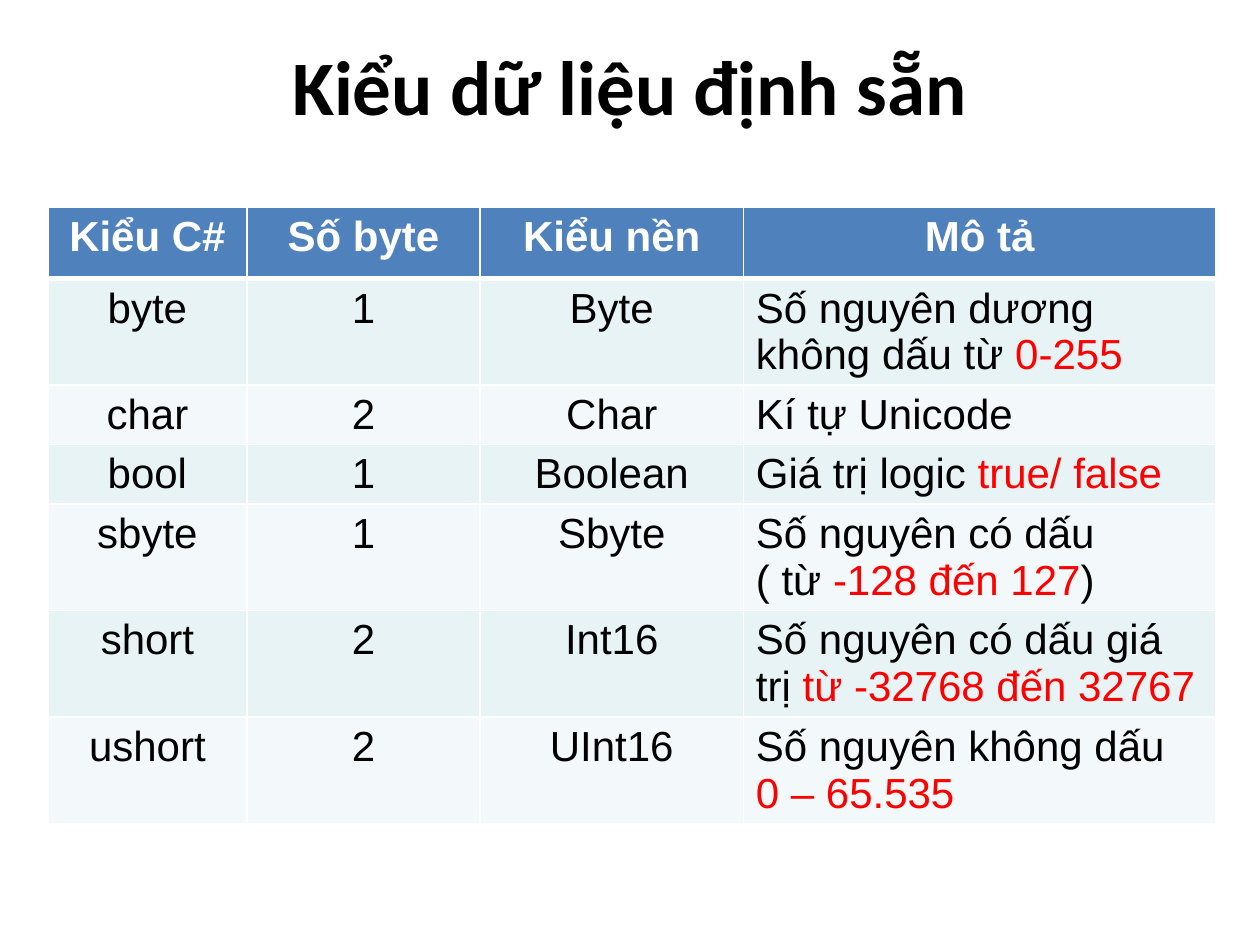
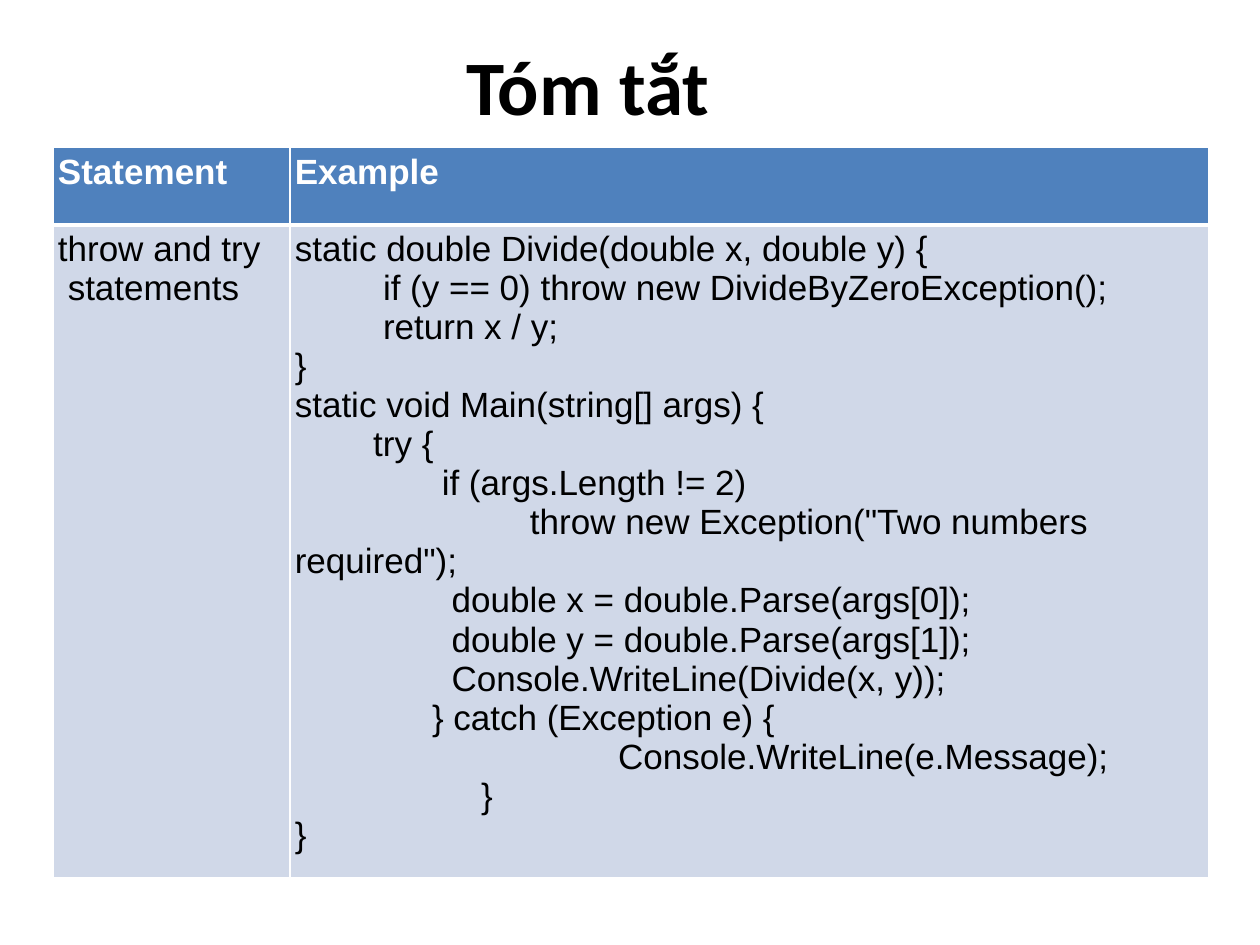
from lxml import etree
from pptx import Presentation
from pptx.dml.color import RGBColor
from pptx.enum.text import MSO_ANCHOR, PP_ALIGN
from pptx.oxml.ns import qn
from pptx.util import Inches, Pt

CENTER, LEFT = PP_ALIGN.CENTER, PP_ALIGN.LEFT
MIDDLE = MSO_ANCHOR.MIDDLE

COLORS = {
    "text": "000000",
    "header_text": "FFFFFF",
    "accent": "FF0000",
    "header": "4F81BD",
    "border": "FFFFFF",
    "band_dark": "E7F3F4",
    "band_light": "F3F9FA",
    "code": "D0D8E8",
}
TITLE_FONT, BODY_FONT = "Calibri", "Arial"
SLIDE_W, SLIDE_H = Inches(10), Inches(7.5)
TITLE_ONLY = 5
SPACE_WIDTH = 0.28  # width of one blank, as a share of the text size

# Asterisks enclose the highlighted part of a description
DATA_TYPES = [
    ("byte", "1", "Byte", ["Số nguyên dương không dấu từ *0-255*"]),
    ("char", "2", "Char", ["Kí tự Unicode"]),
    ("bool", "1", "Boolean", ["Giá trị logic *true/ false*"]),
    ("sbyte", "1", "Sbyte", ["Số nguyên có dấu", "( từ *-128 đến 127*)"]),
    ("short", "2", "Int16", ["Số nguyên có dấu giá trị *từ -32768 đến 32767*"]),
    ("ushort", "2", "UInt16", ["Số nguyên không dấu", "*0 – 65.535*"]),
]
SINGLE_ROW, DOUBLE_ROW = 6.27, 11.27
TYPE_ROWS = [7.6, DOUBLE_ROW, SINGLE_ROW, SINGLE_ROW] + [DOUBLE_ROW] * 3

# Each line of code is preceded by its indent, counted in blanks
STATEMENT = [(0, "throw and try"), (1, "statements")]
EXAMPLE = [
    (0, "static double Divide(double x, double y) {"),
    (9, "if (y == 0) throw new DivideByZeroException();"),
    (9, "return x / y;"),
    (0, "}"),
    (0, "static void Main(string[] args) {"),
    (8, "try {"),
    (15, "if (args.Length != 2)"),
    (24, 'throw new Exception("Two numbers required");'),
    (16, "double x = double.Parse(args[0]);"),
    (16, "double y = double.Parse(args[1]);"),
    (16, "Console.WriteLine(Divide(x, y));"),
    (14, "} catch (Exception e) {"),
    (33, "Console.WriteLine(e.Message);"),
    (19, "}"),
    (0, "}"),
]


def across(percent):
    return round(SLIDE_W * percent / 100)


def down(percent):
    return round(SLIDE_H * percent / 100)


def format_run(run, font, size, color, bold=False):
    run.font.name = font
    run.font.size = Pt(size)
    run.font.bold = bold
    run.font.color.rgb = RGBColor.from_string(COLORS[color])


def add_titled_slide(prs, title_text, box, wrap=True):
    """Add a slide whose title fills box, given in percent of the slide."""
    slide = prs.slides.add_slide(prs.slide_layouts[TITLE_ONLY])
    title = slide.shapes.title
    left, top, width, height = box
    title.left, title.top = across(left), down(top)
    title.width, title.height = across(width), down(height)
    frame = title.text_frame
    frame.text = title_text
    frame.word_wrap = wrap
    frame.vertical_anchor = MIDDLE
    frame.paragraphs[0].alignment = CENTER
    format_run(frame.paragraphs[0].runs[0], TITLE_FONT, 44, "text", True)
    return slide


def add_grid(slide, origin, columns, rows):
    """Add a table with its origin, columns and rows in percent of the slide."""
    left, top = origin
    table = slide.shapes.add_table(
        len(rows), len(columns), across(left), down(top),
        across(sum(columns)), down(sum(rows))).table
    table.first_row = table.horz_banding = False
    for column, width in zip(table.columns, columns):
        column.width = across(width)
    for row, height in zip(table.rows, rows):
        row.height = down(height)
    return table


def paint_cell(cell, row, fill):
    """Draw white borders, with a heavy rule below the header, and fill."""
    properties = cell._tc.get_or_add_tcPr()
    widths = {"lnL": 1, "lnR": 1,
              "lnT": 3 if row == 1 else 1, "lnB": 3 if row == 0 else 1}
    for side, width in widths.items():
        line = etree.SubElement(properties, qn(f"a:{side}"), w=str(Pt(width)))
        solid = etree.SubElement(line, qn("a:solidFill"))
        etree.SubElement(solid, qn("a:srgbClr"), val=COLORS["border"])
    cell.fill.solid()
    cell.fill.fore_color.rgb = RGBColor.from_string(COLORS[fill])


def write_cell(cell, lines, size, align=LEFT, header=False):
    """Write (indent, text) lines, with the parts between asterisks in red."""
    frame = cell.text_frame
    frame.text = "\n".join("" for _ in lines)
    for paragraph, (indent, text) in zip(frame.paragraphs, lines):
        paragraph.alignment = align
        if indent:
            first_line = Pt(indent * SPACE_WIDTH * size)
            paragraph._p.get_or_add_pPr().set("indent", str(first_line))
        base = "header_text" if header else "text"
        for index, part in enumerate(text.split("*")):
            if part:
                run = paragraph.add_run()
                run.text = part
                format_run(run, BODY_FONT, size,
                           "accent" if index % 2 else base, header)


def build_data_types(prs):
    slide = add_titled_slide(prs, "Kiểu dữ liệu định sẵn", (5, 0.67, 90, 16.67))
    table = add_grid(slide, (3.8, 21.9), (15.8, 18.5, 20.9, 37.5), TYPE_ROWS)

    # Header
    for column, heading in enumerate(("Kiểu C#", "Số byte", "Kiểu nền", "Mô tả")):
        cell = table.cell(0, column)
        paint_cell(cell, 0, "header")
        write_cell(cell, [(0, heading)], 24, CENTER, header=True)

    # One banded row per type
    for row, (*facts, description) in enumerate(DATA_TYPES, 1):
        contents = [[fact] for fact in facts] + [description]
        for column, texts in enumerate(contents):
            cell = table.cell(row, column)
            paint_cell(cell, row, "band_dark" if row % 2 else "band_light")
            align = CENTER if column < len(facts) else LEFT
            write_cell(cell, [(0, text) for text in texts], 24, align)


def build_summary(prs):
    slide = add_titled_slide(prs, "Tóm tắt", (35.9, 3.33, 21.5, 11.2), wrap=False)
    table = add_grid(slide, (4.2, 15.6), (18.8, 72.9), (8.2, 69.1))
    contents = [
        ([(0, "Statement")], [(0, "Example")]),
        (STATEMENT, EXAMPLE),
    ]
    for row, cells in enumerate(contents):
        for column, lines in enumerate(cells):
            cell = table.cell(row, column)
            cell.margin_left = cell.margin_right = Inches(0.04)
            cell.margin_top = cell.margin_bottom = Inches(0.04)
            paint_cell(cell, row, "code" if row else "header")
            write_cell(cell, lines, 20, header=row == 0)


def main():
    prs = Presentation()
    prs.slide_width, prs.slide_height = SLIDE_W, SLIDE_H
    build_data_types(prs)
    build_summary(prs)
    prs.save("out.pptx")


if __name__ == "__main__":
    main()
